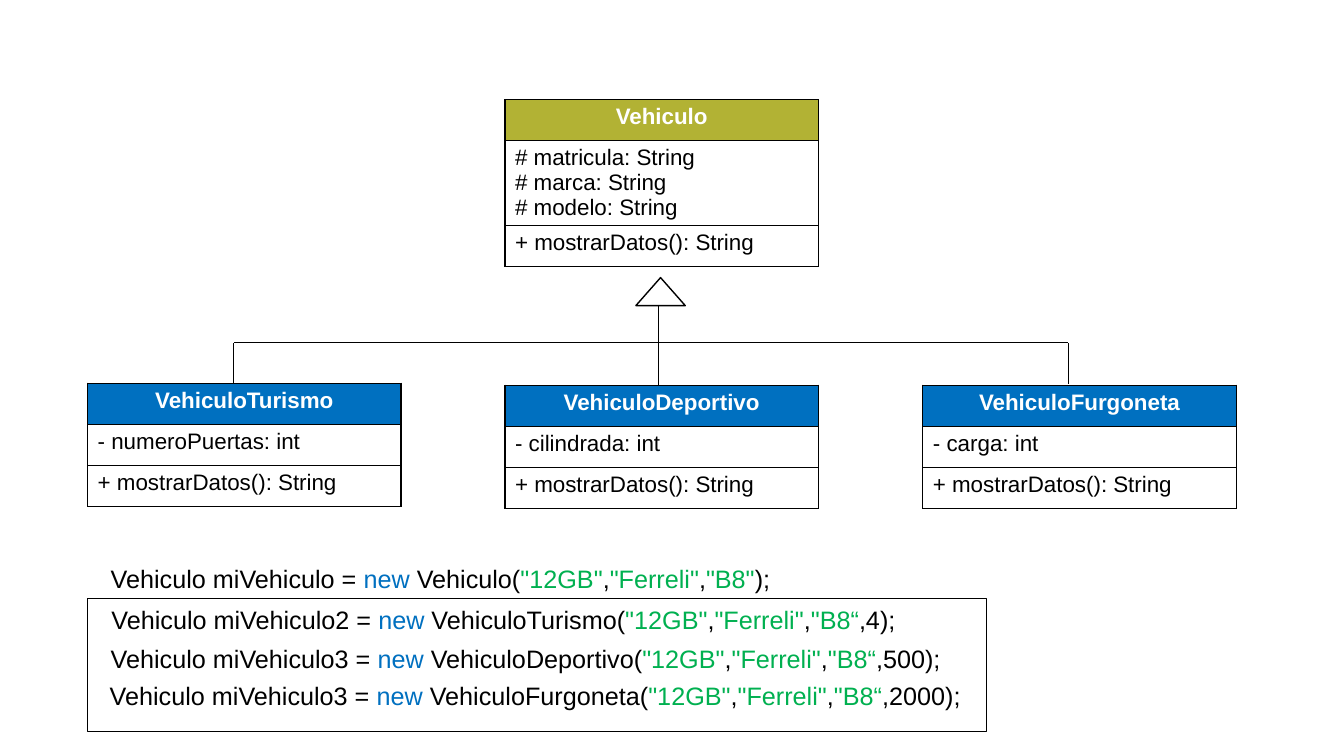
from dataclasses import dataclass

import lxml.etree
import pptx
import pptx.dml.color
import pptx.enum.shapes
import pptx.enum.text
import pptx.oxml.ns
import pptx.slide
import pptx.table
import pptx.util

Pt = pptx.util.Pt
RGBColor = pptx.dml.color.RGBColor
MSO_SHAPE = pptx.enum.shapes.MSO_SHAPE
qn = pptx.oxml.ns.qn

BLACK = RGBColor(0x00, 0x00, 0x00)
WHITE = RGBColor(0xFF, 0xFF, 0xFF)
OLIVE = RGBColor(0xB2, 0xB2, 0x34)
BLUE = RGBColor(0x00, 0x70, 0xC0)
GREEN = RGBColor(0x00, 0xB0, 0x50)
FONT = "Arial"
CLASS_WIDTH = 223.9
ROW_HEIGHT = 29.3


@dataclass
class ClassBox:
    left: float
    top: float
    name: str
    attributes: str
    color: RGBColor
    attributes_height: float = ROW_HEIGHT
    method: str = "+ mostrarDatos(): String"


@dataclass
class Line:
    start: tuple[float, float]
    end: tuple[float, float]


@dataclass
class CodeLine:
    left: float
    top: float
    width: float
    variable: str
    class_name: str
    model: str
    ending: str


CLASS_BOXES = [
    ClassBox(360.7, 71.2, "Vehiculo",
             "# matricula: String\n# marca: String\n# modelo: String", OLIVE, 60.6),
    ClassBox(62.6, 273.7, "VehiculoTurismo", "- numeroPuertas: int", BLUE),
    ClassBox(360.7, 275.2, "VehiculoDeportivo", "- cilindrada: int", BLUE),
    ClassBox(659.2, 275.2, "VehiculoFurgoneta", "- carga: int", BLUE),
]

BRANCH_Y = 244.8
TRUNK_X = 470.4
BRANCH_LEFT, BRANCH_RIGHT = 167, 763.2
INHERITANCE_LINES = [
    Line((BRANCH_LEFT, 273.6), (BRANCH_LEFT, BRANCH_Y)),
    Line((TRUNK_X, 275), (TRUNK_X, BRANCH_Y)),
    Line((BRANCH_RIGHT, 274.3), (BRANCH_RIGHT, BRANCH_Y)),
    Line((BRANCH_LEFT, BRANCH_Y), (BRANCH_RIGHT, BRANCH_Y)),
    Line((TRUNK_X, BRANCH_Y), (TRUNK_X, 217)),
]

CODE_LINES = [
    CodeLine(72, 398.9, 554.4, "miVehiculo", "Vehiculo", '"B8"', ");"),
    CodeLine(72.5, 428.4, 643, "miVehiculo2", "VehiculoTurismo", '"B8“', ",4);"),
    CodeLine(72, 456, 643, "miVehiculo3", "VehiculoDeportivo", '"B8“', ",500);"),
    CodeLine(71.3, 482.6, 643, "miVehiculo3", "VehiculoFurgoneta", '"B8“', ",2000);"),
]


def format_cell(cell: pptx.table._Cell, text: str, fill: RGBColor, header: bool) -> None:
    properties = cell._tc.get_or_add_tcPr()
    for side in ("a:lnL", "a:lnR", "a:lnT", "a:lnB"):
        border = lxml.etree.SubElement(properties, qn(side), w=str(Pt(1)))
        solid = lxml.etree.SubElement(border, qn("a:solidFill"))
        lxml.etree.SubElement(solid, qn("a:srgbClr"), val=str(BLACK))
    cell.fill.solid()
    cell.fill.fore_color.rgb = fill
    cell.text_frame.text = text
    for paragraph in cell.text_frame.paragraphs:
        if header:
            paragraph.alignment = pptx.enum.text.PP_ALIGN.CENTER
        for run in paragraph.runs:
            run.font.name = FONT
            run.font.size = Pt(16)
            run.font.bold = header
            run.font.color.rgb = WHITE if header else BLACK


def draw_class(slide: pptx.slide.Slide, box: ClassBox) -> None:
    heights = [ROW_HEIGHT, box.attributes_height, ROW_HEIGHT]
    table = slide.shapes.add_table(
        3, 1, Pt(box.left), Pt(box.top), Pt(CLASS_WIDTH), Pt(sum(heights))).table
    table.horz_banding = False
    texts = [box.name, box.attributes, box.method]
    for index, (height, text) in enumerate(zip(heights, texts)):
        table.rows[index].height = Pt(height)
        header = index == 0
        format_cell(table.cell(index, 0), text, box.color if header else WHITE, header)


def draw_line(slide: pptx.slide.Slide, line: Line) -> None:
    connector = slide.shapes.add_connector(
        pptx.enum.shapes.MSO_CONNECTOR.STRAIGHT,
        *(Pt(value) for value in line.start + line.end))
    connector.line.color.rgb = BLACK
    connector.line.width = Pt(0.5)
    lxml.etree.SubElement(connector._element.spPr, qn("a:effectLst"))


def draw_outline(slide: pptx.slide.Slide, kind: MSO_SHAPE, left: float, top: float,
                 width: float, height: float) -> None:
    shape = slide.shapes.add_shape(kind, Pt(left), Pt(top), Pt(width), Pt(height))
    shape.shadow.inherit = False
    shape.fill.solid()
    shape.fill.fore_color.rgb = WHITE
    shape.line.color.rgb = BLACK
    shape.line.width = Pt(1)


def draw_code(slide: pptx.slide.Slide, code: CodeLine) -> None:
    text_box = slide.shapes.add_textbox(
        Pt(code.left), Pt(code.top), Pt(code.width), Pt(28.8))
    text_frame = text_box.text_frame
    text_frame.word_wrap = True
    text_frame.auto_size = pptx.enum.text.MSO_AUTO_SIZE.SHAPE_TO_FIT_TEXT
    pieces = [
        (f"Vehiculo {code.variable} = ", BLACK), ("new ", BLUE),
        (f"{code.class_name}(", BLACK), ('"12GB"', GREEN), (",", BLACK),
        ('"Ferreli"', GREEN), (",", BLACK), (code.model, GREEN), (code.ending, BLACK),
    ]
    for text, color in pieces:
        run = text_frame.paragraphs[0].add_run()
        run.text = text
        run.font.name = FONT
        run.font.size = Pt(18)
        run.font.color.rgb = color


def main() -> None:
    presentation = pptx.Presentation()
    presentation.slide_width = Pt(960)
    presentation.slide_height = Pt(540)
    slide = presentation.slides.add_slide(presentation.slide_layouts[6])

    # Class diagram
    for box in CLASS_BOXES:
        draw_class(slide, box)
    for line in INHERITANCE_LINES:
        draw_line(slide, line)
    draw_outline(slide, MSO_SHAPE.ISOSCELES_TRIANGLE, 454.2, 198.3, 35.3, 20)

    # Code examples, with a frame around the subclasses
    draw_outline(slide, MSO_SHAPE.RECTANGLE, 62.6, 427.7, 642.2, 95)
    for code in CODE_LINES:
        draw_code(slide, code)

    presentation.save("out.pptx")


if __name__ == "__main__":
    main()
